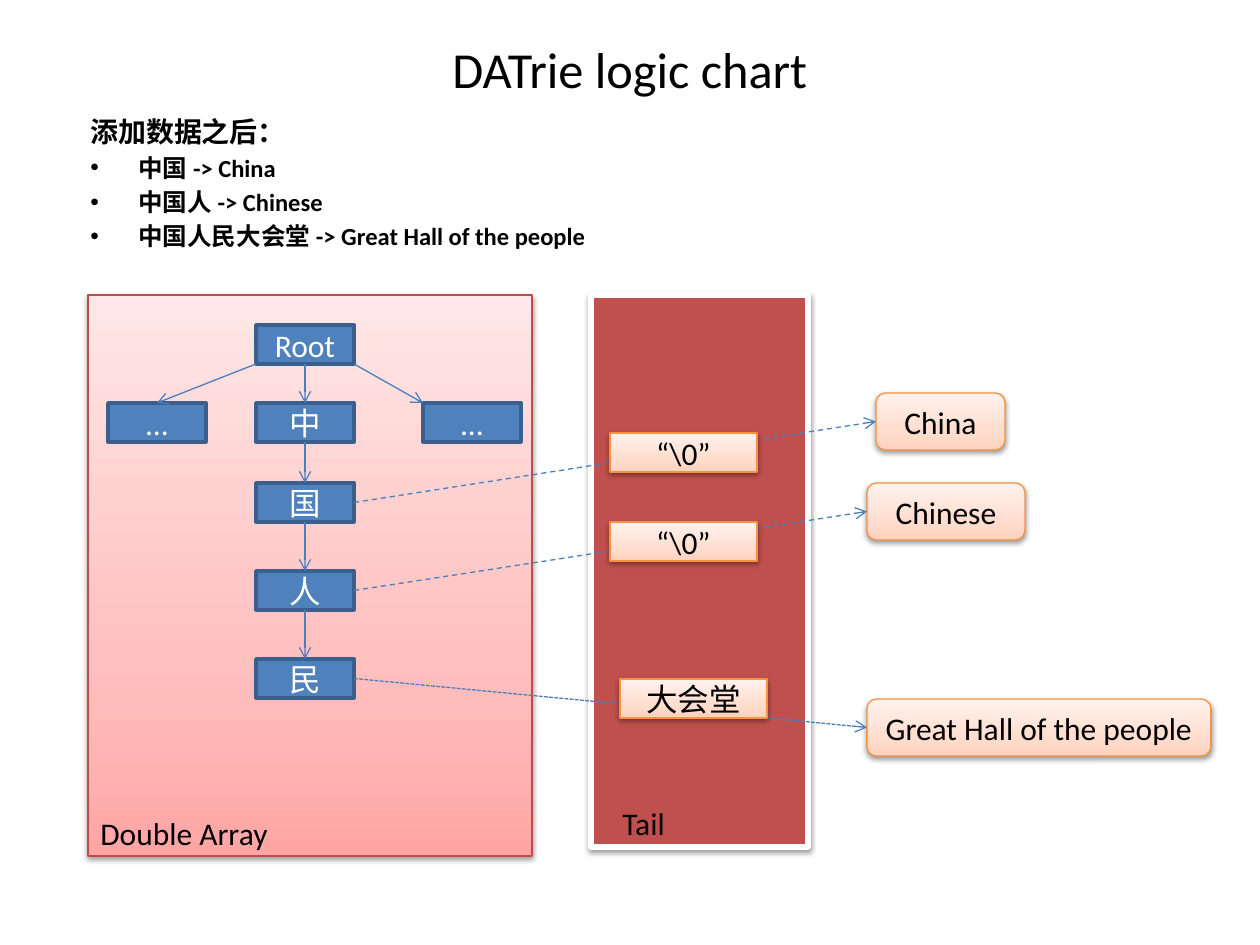
from lxml import etree
from pptx import Presentation
from pptx.dml.color import RGBColor
from pptx.enum.dml import MSO_LINE
from pptx.enum.shapes import MSO_CONNECTOR, MSO_SHAPE
from pptx.enum.text import MSO_ANCHOR, PP_ALIGN
from pptx.oxml.ns import qn
from pptx.util import Emu, Pt

RECT, ROUND = MSO_SHAPE.RECTANGLE, MSO_SHAPE.ROUNDED_RECTANGLE
LINE = MSO_CONNECTOR.STRAIGHT
DASH, FINE = MSO_LINE.DASH, MSO_LINE.SQUARE_DOT
MID, TOP = MSO_ANCHOR.MIDDLE, MSO_ANCHOR.TOP
LEFT, CENTER = PP_ALIGN.LEFT, PP_ALIGN.CENTER
UP, WEST, DOWN, EAST = range(4)
SCALE = 914400 // 126

NODE = {"fill": "4F81BD", "line": "3A5F8C", "width": 2, "ink": "FFFFFF"}
CARD = {"fill": ("FFD2BD", "FFDED0", "FFF2ED"), "line": "F69240",
        "width": 0.75, "shade": True}
ARRAY = {"fill": ("FFA6A5", "FFC0BF", "FFE7E7"), "line": "BF4C48",
         "width": 0.75, "shade": True}
TAIL = {"fill": "C0504D", "line": "FFFFFF", "width": 3, "shade": True}


def px(*vals):
    """Turn pixels into EMU lengths."""
    return [Emu(round(v * SCALE)) for v in vals]


def tint(code):
    """Turn a hex string into a colour."""
    return RGBColor.from_string(code)


def put(obj, vals):
    """Set attributes from a dict."""
    for name, val in vals.items():
        setattr(obj, name, val)


def add(node, tag, **attrs):
    """Append an XML child with attributes."""
    return etree.SubElement(node, qn(tag), {k: str(v) for k, v in attrs.items()})


class Board:
    """Holds the slide and its text style."""

    def __init__(self, slide, font="Calibri", ink="000000", wire="4B7EBC"):
        """Keep the slide and the style."""
        self.slide, self.font, self.ink, self.wire = slide, font, ink, wire

    def say(self, para, text, size=18, ink=None, bold=False):
        """Add one styled run to a paragraph."""
        run = para.add_run()
        run.text = text
        put(run.font, {"name": self.font, "size": Pt(size), "bold": bold})
        run.font.color.rgb = tint(ink or self.ink)

    def blend(self, shape, codes):
        """Fill a shape with three colours rising from the bottom."""
        shape.fill.gradient()
        shape.fill.gradient_angle = 90
        stops = shape._element.spPr.find(qn("a:gradFill")).find(qn("a:gsLst"))
        for old in list(stops):
            stops.remove(old)
        for pos, code in zip((0, 35000, 100000), codes):
            add(add(stops, "a:gs", pos=pos), "a:srgbClr", val=code)

    def shade(self, shape):
        """Drop a soft shadow below a shape."""
        effect = shape._element.spPr.find(qn("a:effectLst"))
        drop = add(effect, "a:outerShdw", blurRad=40000, dist=20000,
                   dir=5400000, rotWithShape=0)
        add(add(drop, "a:srgbClr", val="000000"), "a:alpha", val=38000)

    def box(self, area, look, text="", kind=RECT):
        """Draw a filled shape with centred text."""
        shape = self.slide.shapes.add_shape(kind, *px(*area))
        shape.shadow.inherit = False
        if isinstance(look["fill"], str):
            shape.fill.solid()
            shape.fill.fore_color.rgb = tint(look["fill"])
        else:
            self.blend(shape, look["fill"])
        shape.line.color.rgb = tint(look["line"])
        shape.line.width = Pt(look["width"])
        if look.get("shade"):
            self.shade(shape)
        if text:
            frame = shape.text_frame
            put(frame, {"vertical_anchor": MID, "word_wrap": True})
            para = frame.paragraphs[0]
            para.alignment = CENTER
            self.say(para, text, ink=look.get("ink"))
        return shape

    def text(self, area, text, size=18, align=LEFT, anchor=TOP):
        """Place one line of text."""
        frame = self.slide.shapes.add_textbox(*px(*area)).text_frame
        put(frame, {"word_wrap": True, "vertical_anchor": anchor})
        para = frame.paragraphs[0]
        para.alignment = align
        self.say(para, text, size)

    def items(self, area, head, lines):
        """Place a bold heading with bullets under it."""
        frame = self.slide.shapes.add_textbox(*px(*area)).text_frame
        frame.word_wrap = True
        dent = px(48)[0]
        for num, line in enumerate([head, *lines]):
            para = frame.add_paragraph() if num else frame.paragraphs[0]
            size = 14 if num else 16
            para.space_before = Pt(size * 0.2)
            props = para._p.get_or_add_pPr()
            props.set("marL", str(dent))
            props.set("indent", str(-dent))
            if num:
                add(props, "a:buFont", typeface="Arial")
                add(props, "a:buChar", char="•")
            else:
                add(props, "a:buNone")
            self.say(para, line, size, bold=True)

    def arrow(self, start=(0, 0), end=(0, 0), dash=None):
        """Draw an open arrow between two points."""
        wire = self.slide.shapes.add_connector(LINE, *px(*start, *end))
        wire.line.color.rgb = tint(self.wire)
        put(wire.line, {"width": Pt(0.75), "dash_style": dash})
        add(wire.line._get_or_add_ln(), "a:tailEnd", type="arrow")
        add(wire._element.spPr, "a:effectLst")
        return wire

    def link(self, first, side, last, edge, dash=None):
        """Join two shapes with an arrow."""
        wire = self.arrow(dash=dash)
        wire.begin_connect(first, side)
        wire.end_connect(last, edge)


deck = Presentation()
deck.slide_width, deck.slide_height = px(1260, 945)
board = Board(deck.slides.add_slide(deck.slide_layouts[6]))

board.box((591, 295, 217, 552), TAIL)
board.box((88, 295, 444, 561), ARRAY)
board.text((63, 38, 1134, 60), "DATrie logic chart", 28.8, CENTER, MID)
board.items((78, 108, 659, 178), "添加数据之后：",
            ["中国 -> China", "中国人 -> Chinese",
             "中国人民大会堂 -> Great Hall of the people"])

WIDE, HIGH = 98, 39
trunk, top, row = 256, 325, 403
chain = [board.box((trunk, y, WIDE, HIGH), NODE, name) for name, y in
         (("Root", top), ("中", row), ("国", 483), ("人", 571), ("民", 659))]
for first, last in zip(chain, chain[1:]):
    board.link(first, DOWN, last, UP)
for x, start, end in ((108, trunk, 157), (423, trunk + WIDE, 423)):
    board.box((x, row, WIDE, HIGH), NODE, "...")
    board.arrow((start, top + HIGH), (end, row))

for node, x, y, wide, word, dash in (
        (chain[2], 876, 393, 129, "China", DASH),
        (chain[3], 867, 483, 158, "Chinese", DASH),
        (chain[4], 867, 699, 344, "Great Hall of the people", FINE)):
    card = board.box((x, y, wide, 57), CARD, word, ROUND)
    board.link(node, EAST, card, WEST, dash)

for x, y, word in ((610, 433, "“\\0”"), (610, 522, "“\\0”"),
                   (620, 679, "大会堂")):
    board.box((x, y, 147, HIGH), CARD, word)

board.text((88, 808, 227, 50), "Double Array")
board.text((610, 798, 88, 50), "Tail")
deck.save("out.pptx")
